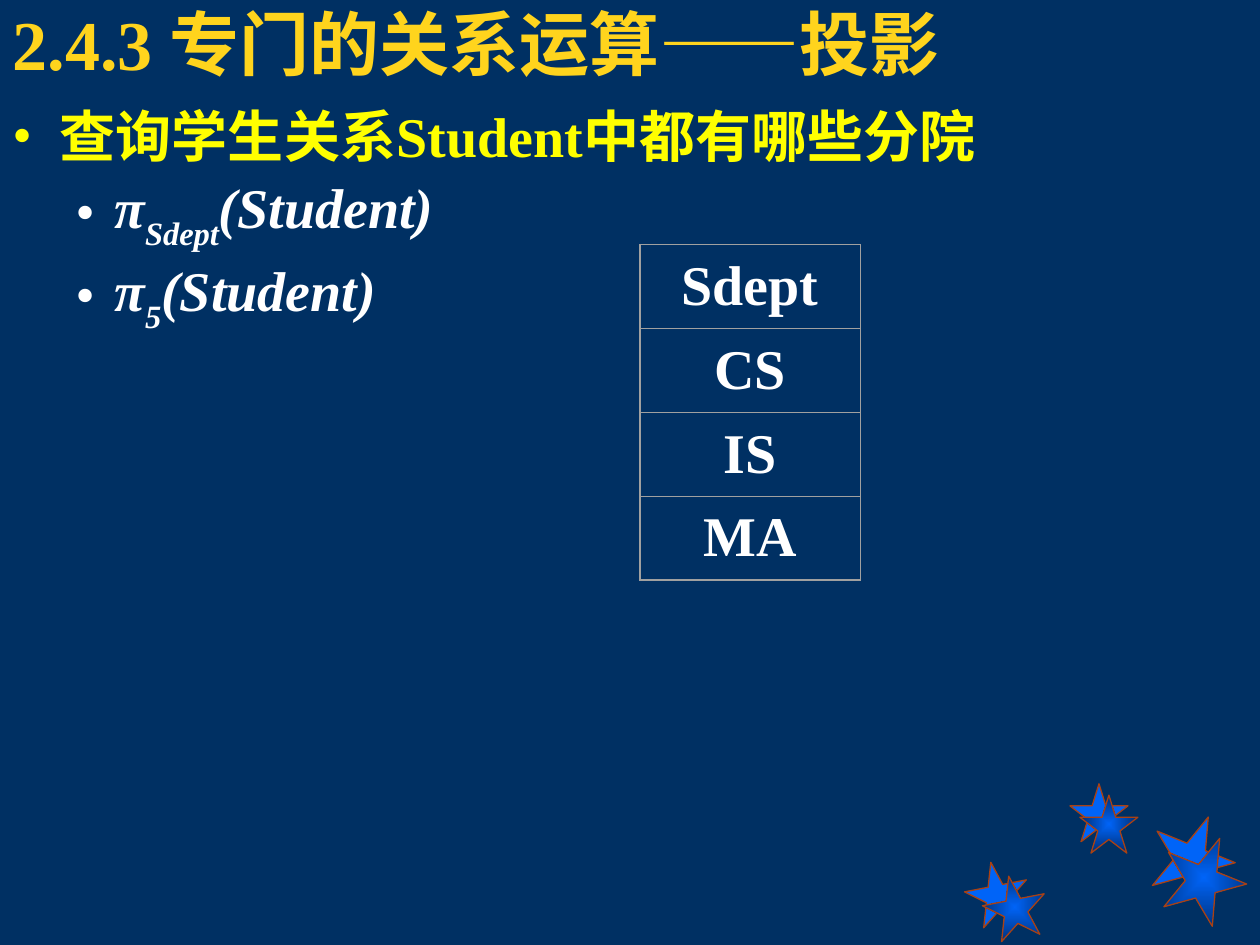
"""Build the relational projection slide."""
import lxml.etree
import pptx
import pptx.dml.color
import pptx.enum.shapes
import pptx.enum.text
import pptx.oxml
import pptx.oxml.ns
import pptx.util

Cm, Pt = pptx.util.Cm, pptx.util.Pt
qn = pptx.oxml.ns.qn
ALIGN = pptx.enum.text.PP_ALIGN
FONT = "Times New Roman"
BACKGROUND, TITLE, YELLOW, WHITE = "003063", "FFD41D", "FFFF00", "FFFFFF"
STAR, STAR_EDGE, STAR_DARK, GRID = "0064F8", "A94113", "002E72", "A0A0A0"


def color(hex_value):
    """Return the RGB colour for a hex string."""
    return pptx.dml.color.RGBColor.from_string(hex_value)


def add_run(p, text, size, hex_value, italic=False, baseline=0):
    """Append one bold run to a paragraph."""
    r = p.add_run()
    r.text = text
    r.font.name, r.font.size = FONT, Pt(size)
    r.font.bold, r.font.italic = True, italic
    r.font.color.rgb = color(hex_value)
    if baseline:
        r.font._element.set("baseline", str(baseline * 1000))


def add_bullet(p, hex_value, margin, hanging):
    """Give a paragraph a coloured bullet and a hanging indent."""
    pPr = p._p.get_or_add_pPr()
    pPr.set("marL", str(Cm(margin)))
    pPr.set("indent", str(-Cm(hanging)))
    bu_clr = lxml.etree.SubElement(pPr, qn("a:buClr"))
    lxml.etree.SubElement(bu_clr, qn("a:srgbClr"), val=hex_value)
    lxml.etree.SubElement(pPr, qn("a:buFont"), typeface=FONT)
    lxml.etree.SubElement(pPr, qn("a:buChar"), char="•")


def add_star(s, left, top, size, rotation, glowing):
    """Draw one star, either plain or with a glowing centre."""
    sp = s.shapes.add_shape(pptx.enum.shapes.MSO_SHAPE.STAR_5_POINT,
                            Cm(left), Cm(top), Cm(size), Cm(size))
    sp.shadow.inherit = False
    sp.rotation = rotation
    sp.line.color.rgb, sp.line.width = color(STAR_EDGE), Pt(0.75)
    if not glowing:
        sp.fill.solid()
        sp.fill.fore_color.rgb = color(STAR)
        return
    sp.fill.gradient()
    for stop, hex_value in zip(sp.fill.gradient_stops, (STAR, STAR_DARK)):
        stop.color.rgb = color(hex_value)
    lin = sp._element.spPr.find(".//" + qn("a:lin"))
    lin.getparent().replace(lin, pptx.oxml.parse_xml(
        f'<a:path {pptx.oxml.ns.nsdecls("a")} path="rect">'
        '<a:fillToRect l="50000" t="50000" r="50000" b="50000"/></a:path>'))


def add_stars(s, left, top):
    """Place three pairs of overlapping stars in a corner region."""
    pairs = [(0, 1.57, 1.27, 349, 0.36, 0.28),
             (2.11, 0, 1.17, 0, 0.2, 0.23),
             (3.73, 0.61, 1.7, 22, 0.23, 0.43)]
    for glowing in (False, True):
        for x, y, size, rotation, dx, dy in pairs:
            add_star(s, left + x + dx * glowing, top + y + dy * glowing,
                     size, rotation, glowing)


def add_title(s, left, top, width, height):
    """Place and format the slide title."""
    sp = s.shapes.title
    sp.left, sp.top, sp.width, sp.height = map(Cm, (left, top, width, height))
    tf = sp.text_frame
    tf.auto_size = pptx.enum.text.MSO_AUTO_SIZE.NONE
    tf.vertical_anchor = pptx.enum.text.MSO_ANCHOR.MIDDLE
    p = tf.paragraphs[0]
    p.alignment = ALIGN.LEFT
    add_run(p, "2.4.3 专门的关系运算——投影", 40, TITLE)


def add_body(s, left, top, width, height):
    """Write the query and its two equivalent projections."""
    tf = s.shapes.add_textbox(*map(Cm, (left, top, width, height))).text_frame
    tf.word_wrap = True
    p = tf.paragraphs[0]
    p.alignment = ALIGN.JUSTIFY
    add_bullet(p, YELLOW, 0.96, 0.96)
    add_run(p, "查询学生关系Student中都有哪些分院", 32, YELLOW)
    for subscript in ("Sdept", "5"):
        p = tf.add_paragraph()
        p.level, p.alignment, p.space_before = 1, ALIGN.JUSTIFY, Pt(2)
        add_bullet(p, WHITE, 2.06, 0.79)
        for text, baseline in (("π", 0), (subscript, -30), ("(Student)", 0)):
            add_run(p, text, 32, WHITE, italic=True, baseline=baseline)


def set_borders(cell, widths):
    """Draw the left, right, top and bottom borders of a cell."""
    tcPr = cell._tc.get_or_add_tcPr()
    for i, (side, width) in enumerate(zip("LRTB", widths)):
        tcPr.insert(i, pptx.oxml.parse_xml(
            f'<a:ln{side} {pptx.oxml.ns.nsdecls("a")} w="{Pt(width)}">'
            f'<a:solidFill><a:srgbClr val="{GRID}"/></a:solidFill></a:ln{side}>'))


def add_result(s, left, top, width, height):
    """Show the projection result as a one-column table."""
    values = ["Sdept", "CS", "IS", "MA"]
    table = s.shapes.add_table(len(values), 1, *map(
        Cm, (left, top, width, height))).table
    table.first_row = table.horz_banding = False
    outer, inner = 0.88, 0.25
    for i, value in enumerate(values):
        cell = table.cell(i, 0)
        cell.fill.background()
        cell.vertical_anchor = pptx.enum.text.MSO_ANCHOR.MIDDLE
        set_borders(cell, (outer, outer, inner if i else outer,
                           inner if i < len(values) - 1 else outer))
        p = cell.text_frame.paragraphs[0]
        p.alignment = ALIGN.CENTER
        add_run(p, value, 32, WHITE)


def main():
    """Build and save the presentation."""
    prs = pptx.Presentation()
    prs.slide_width, prs.slide_height = Cm(25.4), Cm(19.05)
    s = prs.slides.add_slide(prs.slide_layouts[5])
    s.background.fill.solid()
    s.background.fill.fore_color.rgb = color(BACKGROUND)
    add_stars(s, 19.46, 15.8)
    add_title(s, 0, 0, 21.16, 1.73)
    add_body(s, 0, 1.93, 25.4, 17.12)
    add_result(s, 12.9, 4.93, 4.44, 6.76)
    prs.save("out.pptx")


if __name__ == "__main__":
    main()
